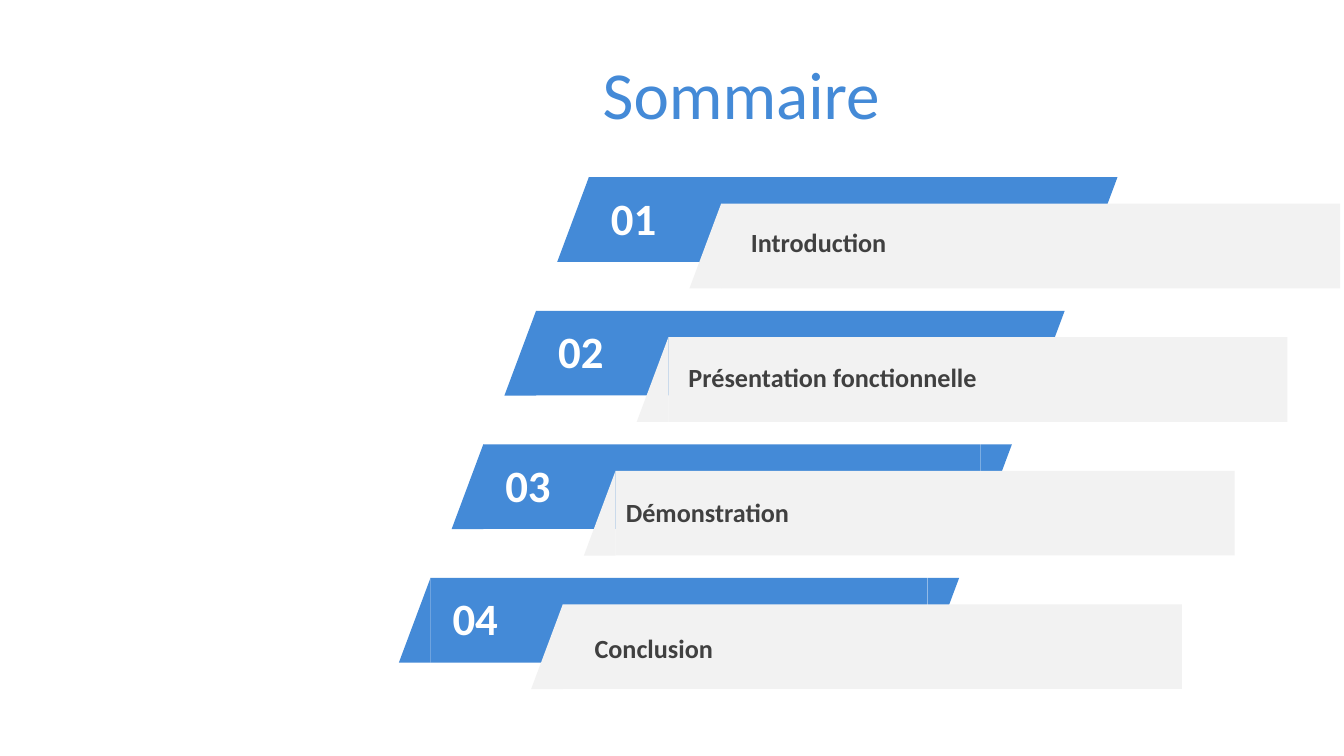
"""Build the Sommaire slide: four slanted, staggered agenda bars."""
from pptx import Presentation
from pptx.dml.color import RGBColor
from pptx.enum import shapes, text
from pptx.util import Pt

COLORS = {"blue": "448AD7", "grey": "F2F2F2", "dark": "404040", "white": "FFFFFF"}
FONT = "Calibri"
TITLE = "Sommaire"
ITEMS = [
    ("01", "Introduction", 529.2),
    ("02", "Présentation fonctionnelle", 484.6),
    ("03", "Démonstration", 439.9),
    ("04", "Conclusion", 417.6),
]

BAR_LEFT, BAR_TOP = 420.6, 126.6
STEP_X, STEP_Y = -37.7, 95.4
BAR_HEIGHT, SLANT = 60.5, 22.6
BLUE_WIDTH, GREY_WIDTH = 355, 442.2
GREY_DX, GREY_DY = 94.5, 18.9
NUMBER_TOP, LABEL_TOP, LABEL_STEP = 132.5, 157.8, 96.7


def add_block(group, kind, box, color, rotation=0):
    sp = group.shapes.add_shape(kind, *map(Pt, box))
    sp.rotation = rotation
    sp.shadow.inherit = False
    sp.fill.solid()
    sp.fill.fore_color.rgb = RGBColor.from_string(COLORS[color])
    sp.line.fill.background()
    return sp


def add_slant(group, center_x, top, color, rotation):
    box = (center_x - BAR_HEIGHT / 2, top + (BAR_HEIGHT - SLANT) / 2, BAR_HEIGHT, SLANT)
    sp = add_block(group, shapes.MSO_SHAPE.ISOSCELES_TRIANGLE, box, color, rotation)
    sp.adjustments[0] = 0


def add_bar(group, left, top, width, color):
    add_block(group, shapes.MSO_SHAPE.RECTANGLE, (left, top, width, BAR_HEIGHT), color)
    add_slant(group, left - SLANT / 2, top, color, 270)


def add_text(slide, content, box, size, color, bold=True, align=text.PP_ALIGN.LEFT):
    tf = slide.shapes.add_textbox(*map(Pt, box)).text_frame
    tf.word_wrap = True
    tf.text = content
    p = tf.paragraphs[0]
    p.alignment = align
    font = p.runs[0].font
    font.name, font.size, font.bold = FONT, Pt(size), bold
    font.color.rgb = RGBColor.from_string(COLORS[color])
    return tf


def main():
    prs = Presentation()
    prs.slide_width, prs.slide_height = Pt(960), Pt(540)
    slide = prs.slides.add_slide(prs.slide_layouts[6])

    title = add_text(slide, TITLE, (423.4, 36, 536.4, 60.5), 48, "blue", bold=False)
    title.vertical_anchor = text.MSO_ANCHOR.MIDDLE

    for i, (number, label, label_left) in enumerate(ITEMS):
        left, top = BAR_LEFT + i * STEP_X, BAR_TOP + i * STEP_Y
        group = slide.shapes.add_group_shape()
        add_bar(group, left, top, BLUE_WIDTH, "blue")
        add_slant(group, left + BLUE_WIDTH + SLANT / 2, top, "blue", 90)
        add_bar(group, left + GREY_DX, top + GREY_DY, GREY_WIDTH, "grey")

        number_box = (left, NUMBER_TOP + i * STEP_Y, 64, 46)
        label_box = (label_left, LABEL_TOP + i * LABEL_STEP, 390.2, 30.2)
        for tf in (
            add_text(slide, number, number_box, 32, "white", align=text.PP_ALIGN.CENTER),
            add_text(slide, label, label_box, 18.7, "dark"),
        ):
            tf.auto_size = text.MSO_AUTO_SIZE.SHAPE_TO_FIT_TEXT

    prs.save("out.pptx")


if __name__ == "__main__":
    main()
